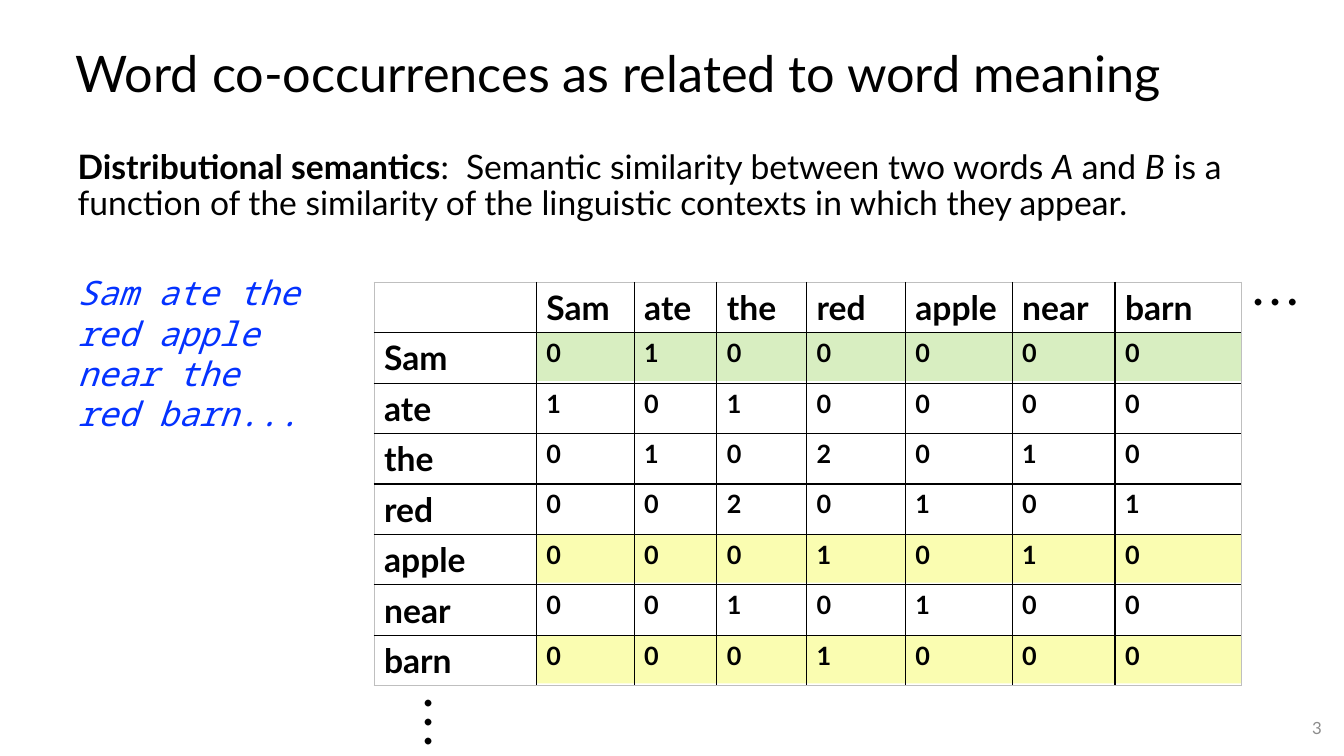
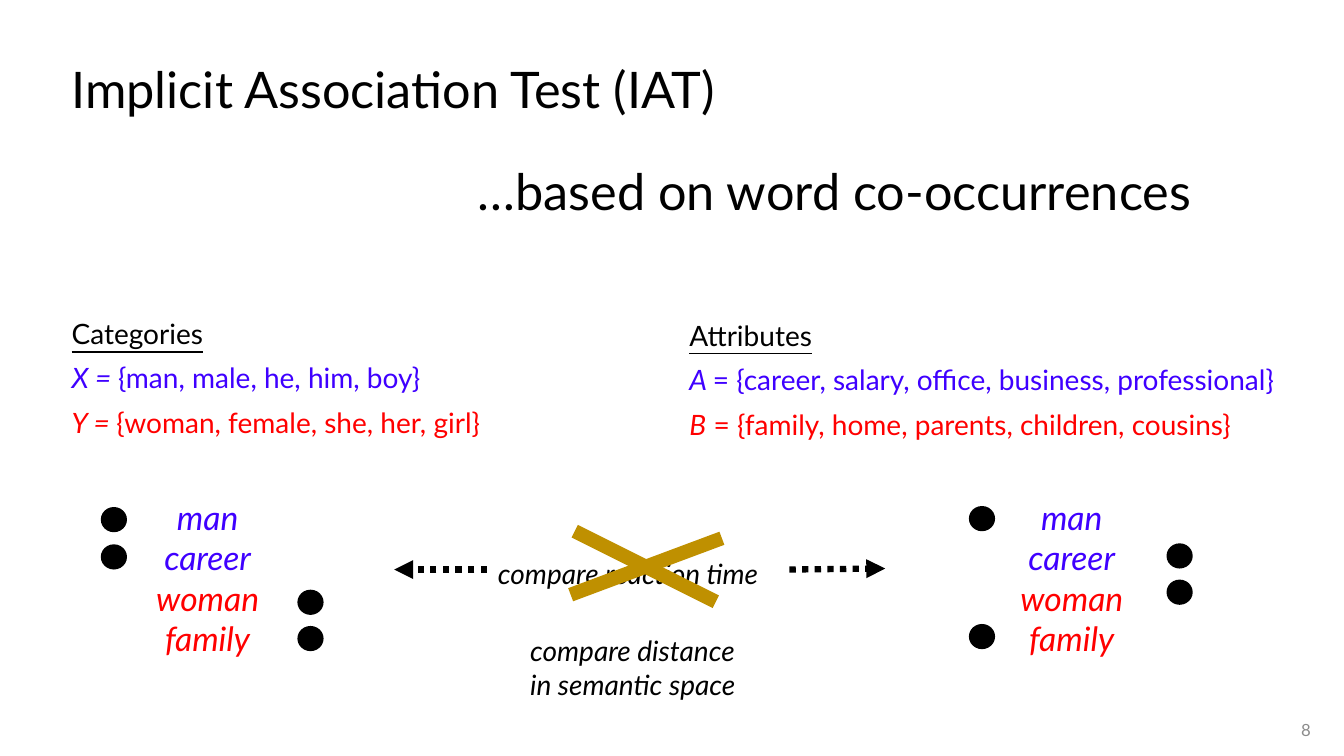
import pptx
import pptx.dml.color
import pptx.enum.shapes
import pptx.enum.text
import pptx.oxml.ns
import pptx.util
from lxml import etree

PX = 9144  # 100 px to the inch
qn = pptx.oxml.ns.qn
ALIGN = pptx.enum.text.PP_ALIGN
ANCHOR = pptx.enum.text.MSO_ANCHOR
SHAPE = pptx.enum.shapes.MSO_SHAPE

THEME = {
    "ink": "000000", "grey": "8C8C8C", "edge": "BFBFBF", "quote": "0432FF",
    "blue": "3F00FF", "red": "FF0000", "gold": "BF9000",
    "green": "92D050", "yellow": "F1FA21",
    "title": 36, "head": 24, "text": 20, "cell": 18, "note": 12, "dot": 40,
}
FONT = {"name": "Lato", "size": "text", "color": "ink"}
TITLE = {"size": "title", "anchor": ANCHOR.MIDDLE, "line_spacing": 0.9}
BODY = {"line_spacing": 0.9, "space_before": 10}
NOTE = {"size": "note", "color": "grey", "anchor": ANCHOR.MIDDLE, "alignment": ALIGN.RIGHT}
DOT = {"name": "Calibri", "size": "dot"}
ITALIC = {"italic": True}


def write(frame, paras, form):
    """Fill a text frame; each paragraph is a list of (text, font changes)."""
    form = {"alignment": ALIGN.LEFT, "line_spacing": 1.0, "space_before": 0,
            "anchor": ANCHOR.TOP, **FONT, **form}
    frame.word_wrap = True
    frame.auto_size = pptx.enum.text.MSO_AUTO_SIZE.NONE
    frame.vertical_anchor = form.pop("anchor")
    layout = {key: form.pop(key) for key in ("alignment", "line_spacing", "space_before")}
    gap = layout.pop("space_before")
    for i, runs in enumerate(paras):
        para = frame.add_paragraph() if i else frame.paragraphs[0]
        props = para._p.get_or_add_pPr()
        props.set("marL", "0")
        props.set("indent", "0")
        etree.SubElement(props, qn("a:buNone"))
        para.space_before = pptx.util.Pt(gap if i else 0)
        for key, value in layout.items():
            setattr(para, key, value)
        for text, change in runs:
            run = para.add_run()
            run.text = text
            for key, value in {**form, **change}.items():
                if key == "color":
                    run.font.color.rgb = pptx.dml.color.RGBColor.from_string(THEME[value])
                elif key == "size":
                    run.font.size = pptx.util.Pt(THEME[value])
                else:
                    setattr(run.font, key, value)


def paint(shape, color, alpha=100):
    """Give a shape a flat fill with no line or shadow."""
    shape.shadow.inherit = False
    shape.line.fill.background()
    shape.fill.solid()
    shape.fill.fore_color.rgb = pptx.dml.color.RGBColor.from_string(THEME[color])
    if alpha < 100:
        tint = shape.fill._xPr.find(".//" + qn("a:srgbClr"))
        etree.SubElement(tint, qn("a:alpha"), val=str(alpha * 1000))


deck = pptx.Presentation()
deck.slide_width, deck.slide_height = 1333 * PX, 750 * PX
words, test = [deck.slides.add_slide(deck.slide_layouts[1]) for _ in range(2)]

# Bands behind the table of counts
left, top, row_tall = 371, 280, 50
wides = [161, 97, 82, 89, 98, 106, 102, 125]
for row, color in [(7, "yellow"), (5, "yellow"), (1, "green")]:
    band = words.shapes.add_shape(
        SHAPE.RECTANGLE, (left + wides[0]) * PX, (top + row * row_tall) * PX,
        sum(wides[1:]) * PX, 48 * PX)
    paint(band, color, 35)

# Table of counts
labels = ["Sam", "ate", "the", "red", "apple", "near", "barn"]
counts = ["0100000", "1010000", "0102010", "0020101", "0001010", "0010100", "0001000"]
grid = [["", *labels]] + [[label, *line] for label, line in zip(labels, counts)]
last = len(labels)
table = words.shapes.add_table(
    len(grid), len(wides), left * PX, top * PX,
    sum(wides) * PX, len(grid) * row_tall * PX).table
table.first_row = table.horz_banding = False
for col, wide in enumerate(wides):
    table.columns[col].width = wide * PX
for r, line in enumerate(grid):
    table.rows[r].height = row_tall * PX
    for c, text in enumerate(line):
        cell = table.cell(r, c)
        props = cell._tc.get_or_add_tcPr()
        for side, outer in [("L", c == 0), ("R", c == last), ("T", r == 0), ("B", r == last)]:
            edge = etree.SubElement(props, qn("a:ln" + side), w="6350" if outer else "12700")
            fill = etree.SubElement(edge, qn("a:solidFill"))
            etree.SubElement(fill, qn("a:srgbClr"), val=THEME["edge" if outer else "ink"])
        cell.fill.background()
        if text:
            para = cell.text_frame.paragraphs[0]
            para.text = text
            size = THEME["cell" if r and c else "head"]
            look = {"name": FONT["name"], "size": pptx.util.Pt(size), "bold": True}
            for key, value in look.items():
                setattr(para.font, key, value)
            para.font.color.rgb = pptx.dml.color.RGBColor.from_string(THEME["ink"])

# Crossed-out label and its arrows: start, end, colour, points, arrow
lines = [
    ((783, 565), (878, 564), "ink", 4.5, True),
    ((483, 565), (391, 565), "ink", 4.5, True),
    ((570, 527), (710, 597), "gold", 10, False),
    ((566, 590), (716, 534), "gold", 10, False),
]

# Text in placeholders and boxes: slide, holder, place, paragraphs, format
pair = [[("man", {"color": "blue"})], [("career", {"color": "blue"})],
        [("woman", {"color": "red"})], [("family", {"color": "red"})]]
PAIR = {"size": "head", "alignment": ALIGN.CENTER, **ITALIC}
blue, red = {"color": "blue"}, {"color": "red"}
texts = [
    (words, 0, (65, 13, 1200, 125),
     [[("Word co-occurrences as related to word meaning", {})]], TITLE),
    (words, 1, (67, 144, 1200, 98), [[
        ("Distributional semantics", {"bold": True}),
        (":  Semantic similarity between two words ", {}),
        ("A", ITALIC), (" and ", {}), ("B", ITALIC),
        (" is a function of the similarity of the linguistic contexts in which they appear.", {}),
    ]], {**BODY, "size": "head"}),
    (words, None, (67, 265, 244, 172),
     [[("Sam ate the red apple near the red barn...", {})]],
     {"name": "Noto Sans Mono", "size": "head", "color": "quote", **ITALIC}),
    (words, None, (1010, 702, 311, 40), [[("3", {})]], NOTE),
    (test, 0, (61, 19, 1150, 145), [[("Implicit Association Test (IAT)", {})]], TITLE),
    (test, 1, (61, 313, 593, 157), [
        [("Categories", {"underline": True})],
        [("X = ", {**blue, **ITALIC}), ("{man, male, he, him, boy}", blue)],
        [("Y = ", {**red, **ITALIC}), ("{woman, female, she, her, girl}", red)],
    ], BODY),
    (test, None, (674, 315, 634, 157), [
        [("Attributes", {"underline": True})],
        [("A ", {**blue, **ITALIC}),
         ("= {career, salary, office, business, professional}", blue)],
        [("B", {**red, **ITALIC}),
         (" = {family, home, parents, children, cousins}", red)],
    ], BODY),
    (test, None, (141, 488, 130, 172), pair, PAIR),
    (test, None, (998, 488, 130, 172), pair, PAIR),
    (test, None, (484, 547, 302, 44), [[("compare reaction time", {})]], ITALIC),
    (test, None, (464, 120, 850, 145), [[("…based on word co-occurrences", {})]], TITLE),
    (test, None, (516, 624, 250, 77),
     [[("compare distance", {})], [("in semantic space", {})]], ITALIC),
    (test, None, (1010, 704, 300, 40), [[("8", {})]], NOTE),
]
for i in range(3):
    texts.append((words, None, (408, 640 + 19 * i, 34, 70), [[(".", {})]], DOT))
    texts.append((words, None, (1231 + 17 * i, 243, 34, 77), [[(".", {})]], DOT))

for slide, holder, place, paras, form in texts:
    place = [n * PX for n in place]
    if holder is None:
        box = slide.shapes.add_textbox(*place)
    else:
        box = slide.placeholders[holder]
        box.left, box.top, box.width, box.height = place
    write(box.text_frame, paras, form)

# Key-press dots beside each word list
for x, y in [(961, 502), (1157, 539), (961, 619), (1157, 575),
             (295, 585), (295, 621), (100, 503), (100, 540)]:
    dot = test.shapes.add_shape(SHAPE.OVAL, x * PX, y * PX, 26 * PX, 25 * PX)
    paint(dot, "ink")

for start, end, color, width, arrow in lines:
    link = test.shapes.add_connector(
        pptx.enum.shapes.MSO_CONNECTOR.STRAIGHT, *[n * PX for n in start + end])
    link.line.color.rgb = pptx.dml.color.RGBColor.from_string(THEME[color])
    link.line.width = pptx.util.Pt(width)
    if arrow:
        stroke = link.line._get_or_add_ln()
        etree.SubElement(stroke, qn("a:prstDash"), val="sysDot")
        etree.SubElement(stroke, qn("a:tailEnd"), type="triangle")
    etree.SubElement(link._element.spPr, qn("a:effectLst"))

deck.save("out.pptx")
